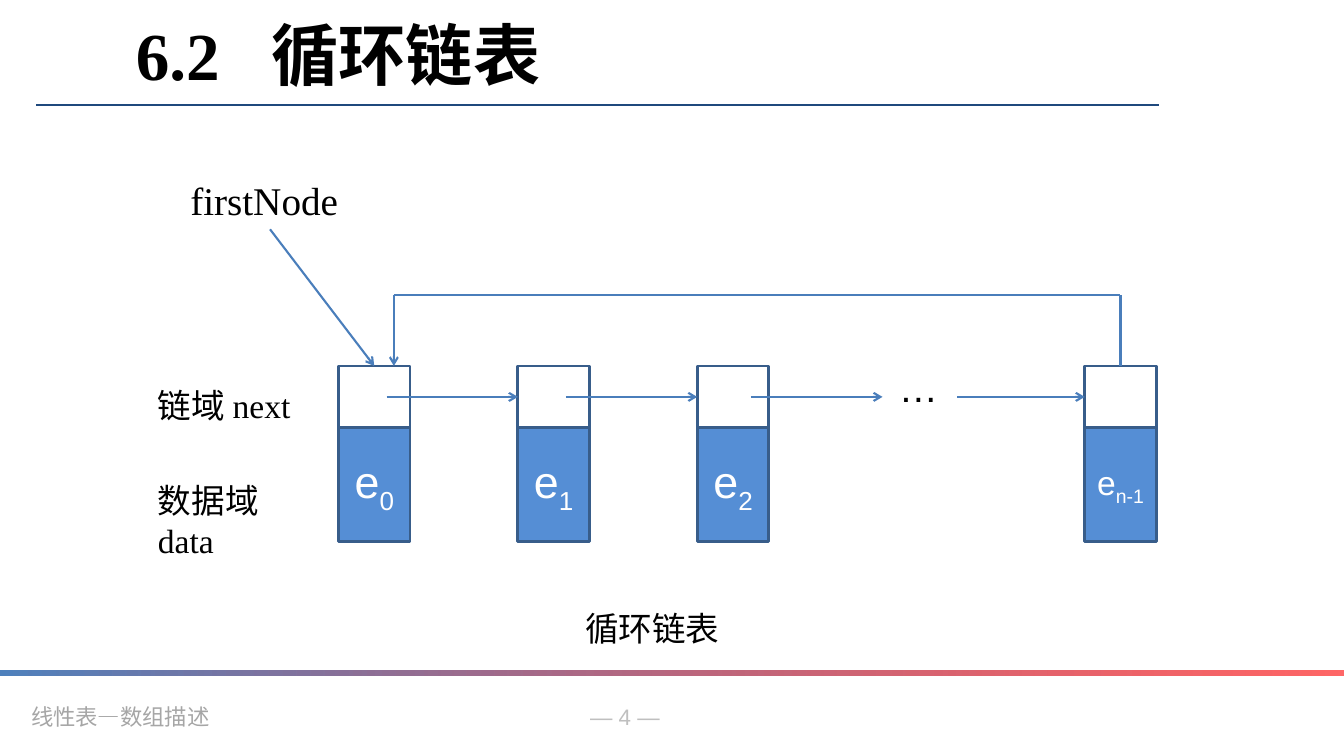
import pptx
import pptx.util
import pptx.dml.color
import pptx.enum.shapes
import pptx.enum.text
import pptx.oxml
import pptx.oxml.ns

Pt = pptx.util.Pt
ALIGN = pptx.enum.text.PP_ALIGN
ANCHOR = pptx.enum.text.MSO_ANCHOR
RECTANGLE = pptx.enum.shapes.MSO_SHAPE.RECTANGLE
STRAIGHT = pptx.enum.shapes.MSO_CONNECTOR.STRAIGHT
TOP, LEFT, BOTTOM = 0, 1, 2

# Content
COLOURS = {
    "black": "000000", "white": "FFFFFF", "page": "BFBFBF", "footer": "A6A6A6",
    "rule": "1F497D", "border": "385D8A", "data": "558ED5", "arrow": "4A7EBB",
    "bar start": "4F81BD", "bar end": "FF0000",
}
SERIF, SANS, MONO = "Times New Roman", "Arial", "DejaVu Sans Mono"
TITLE = [("6.2\t", SERIF), ("循环链表", SANS)]
TITLE_BOX, TITLE_TAB = (90, 5.8, 841, 65.5), 97
# text, (left, top, width, height), size, font, colour, alignment, right inset
LABELS = [
    ("— 4 —", (414.7, 499, 136.8, 26.6), 16, SANS, "page", ALIGN.LEFT, 7.2),
    ("线性表—数组描述", (15.1, 499, 217.4, 26.6), 16, MONO, "footer", ALIGN.LEFT, 7.2),
    ("循环链表", (320.4, 430.6, 291.6, 36), 24, SERIF, "black", ALIGN.CENTER, 7.2),
    ("…", (630.7, 256.3, 51.1, 41), 28, SANS, "black", ALIGN.CENTER, 7.2),
    ("链域 next", (105.8, 271.4, 136.1, 36), 24, SERIF, "black", ALIGN.LEFT, 7.2),
    ("数据域 data", (105.8, 339.1, 136.1, 64.8), 24, SERIF, "black", ALIGN.LEFT, 22),
]
FIRST_NODE = ("firstNode", (128.9, 122.4, 128.2, 41.4), 28, SERIF, "black",
              ALIGN.LEFT, 7.2)
# subscript, slot in the row, size
NODES = [("0", 0, 32), ("1", 1, 32), ("2", 2, 32), ("n-1", 4.16, 24)]
ROW_LEFT, ROW_STEP, ROW_TOP = 241.9, 128.2, 261.4
NODE_W, NEXT_H, DATA_H = 51.1, 44.2, 81.4
LOOP_Y, LOOP_END_X = 211, 281.5
NEXT_Y = ROW_TOP + NEXT_H / 2
NEXT_INDENT = 34.4
GAP_LEFT, GAP_RIGHT = 630.7, 684

deck = pptx.Presentation()
deck.slide_width, deck.slide_height = Pt(960.5), Pt(540)
slide = deck.slides.add_slide(deck.slide_layouts[6])
shapes = slide.shapes


def rgb(name):
    return pptx.dml.color.RGBColor.from_string(COLOURS[name])


def apply(target, values):
    for attribute, value in values.items():
        setattr(target, attribute, value)


def add_run(paragraph, text, size, font, colour, bold=False):
    run = paragraph.add_run()
    run.text = text
    apply(run.font, {"size": Pt(size), "name": font, "bold": bold})
    run.font.color.rgb = rgb(colour)
    return run


def add_label(text, box, size, font, colour, align, right_inset):
    label = shapes.add_textbox(*map(Pt, box))
    apply(label.text_frame, {"word_wrap": True, "margin_right": Pt(right_inset)})
    paragraph = label.text_frame.paragraphs[0]
    paragraph.alignment = align
    add_run(paragraph, text, size, font, colour)
    return label


def add_cell(left, top, height, fill=None):
    cell = shapes.add_shape(RECTANGLE, Pt(left), Pt(top), Pt(NODE_W), Pt(height))
    cell.shadow.inherit = False
    if fill:
        cell.fill.solid()
        cell.fill.fore_color.rgb = rgb(fill)
    else:
        cell.fill.background()
    cell.line.color.rgb = rgb("border")
    cell.line.width = Pt(2)
    return cell


def add_line(start, end, colour="arrow", width=1.5, arrow=False):
    line = shapes.add_connector(STRAIGHT, *map(Pt, start + end))
    line.line.color.rgb = rgb(colour)
    line.line.width = Pt(width)
    if arrow:
        head = pptx.oxml.ns.qn("a:tailEnd")
        line.line._get_or_add_ln().makeelement(head)
        pptx_line = line._element.spPr.find(pptx.oxml.ns.qn("a:ln"))
        pptx_line.append(pptx_line.makeelement(head, {"type": "arrow"}))
    properties = line._element.spPr
    properties.append(properties.makeelement(pptx.oxml.ns.qn("a:effectLst")))
    return line


# Footer bar and rule under the title
bar = shapes.add_shape(RECTANGLE, 0, Pt(478.8), deck.slide_width, Pt(3.9))
bar.shadow.inherit = False
bar.line.fill.background()
bar.fill.gradient()
bar.fill.gradient_angle = 0
for stop, position, name in zip(bar.fill.gradient_stops, (0, 1), ("bar start", "bar end")):
    stop.position = position
    stop.color.rgb = rgb(name)
bar_end = list(bar._element.spPr.iter(pptx.oxml.ns.qn("a:srgbClr")))[-1]
bar_end.append(bar_end.makeelement(pptx.oxml.ns.qn("a:alpha"), {"val": "60000"}))
add_line((25.9, 74.9), (828, 74.9), "rule", 1)

# Title, with a tab stop after the number
title = shapes.add_textbox(*map(Pt, TITLE_BOX))
title.text_frame.word_wrap = True
heading = title.text_frame.paragraphs[0]
for text, font in TITLE:
    add_run(heading, text, 48, font, "black", True)
heading._p.get_or_add_pPr().append(pptx.oxml.parse_xml(
    f'<a:tabLst {pptx.oxml.ns.nsdecls("a")}><a:tab pos="{Pt(TITLE_TAB)}" algn="l"/></a:tabLst>'))

# Labels
for label in LABELS:
    add_label(*label)
first_node = add_label(*FIRST_NODE)

# Nodes: a next cell above a data cell
lefts = [ROW_LEFT + slot * ROW_STEP for _, slot, _ in NODES]
next_cells = []
for left, (subscript, _, size) in zip(lefts, NODES):
    next_cells.append(add_cell(left, ROW_TOP, NEXT_H))
    data_cell = add_cell(left, ROW_TOP + NEXT_H, DATA_H, "data")
    apply(data_cell.text_frame, {"vertical_anchor": ANCHOR.MIDDLE, "word_wrap": True})
    element = data_cell.text_frame.paragraphs[0]
    element.alignment = ALIGN.CENTER
    add_run(element, "e", size, SANS, "white")
    index = add_run(element, subscript, size, SANS, "white")
    index.font._element.set("baseline", "-25000")

# Links from each next cell to the following node
starts = [left + NEXT_INDENT for left in lefts[:2]] + [GAP_RIGHT]
for start, left, cell in zip(starts, lefts[1:], next_cells[1:]):
    link = add_line((start, NEXT_Y), (left, NEXT_Y), arrow=True)
    link.end_connect(cell, LEFT)
add_line((lefts[2] + NEXT_INDENT + 4, NEXT_Y), (GAP_LEFT, NEXT_Y), arrow=True)

# Pointer to the first node
pointer = add_line((193, 163.8), (265, ROW_TOP), arrow=True)
pointer.begin_connect(first_node, BOTTOM)
pointer.end_connect(next_cells[0], TOP)

# Loop from the last node back to the first
loop_start_x = lefts[-1] + NODE_W / 2
riser = add_line((loop_start_x, ROW_TOP), (loop_start_x, LOOP_Y))
riser.begin_connect(next_cells[-1], TOP)
add_line((LOOP_END_X, LOOP_Y), (loop_start_x, LOOP_Y))
add_line((LOOP_END_X, LOOP_Y), (LOOP_END_X, ROW_TOP), arrow=True)

deck.save("out.pptx")
